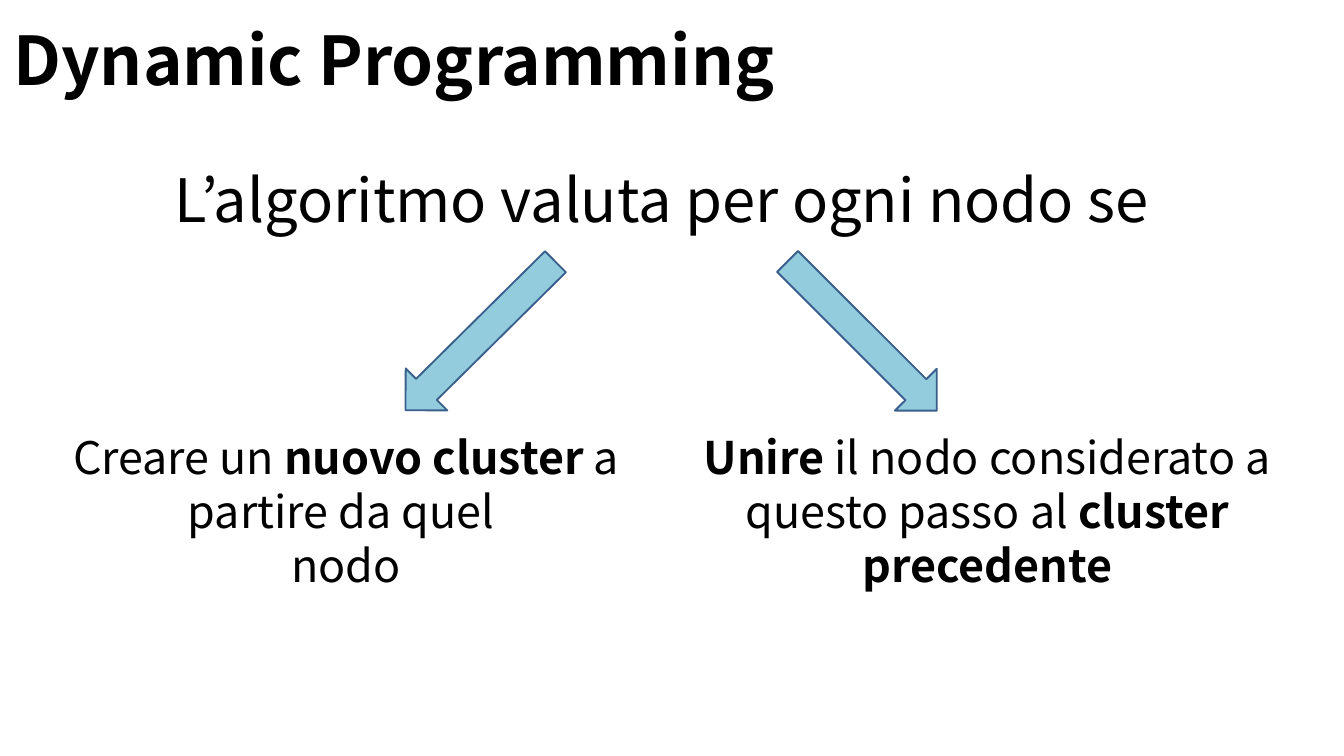
from dataclasses import dataclass

from lxml import etree
from pptx import Presentation
from pptx import util as u
from pptx.dml.color import RGBColor
from pptx.enum import shapes, text
from pptx.oxml.ns import qn


@dataclass(frozen=True)
class Theme:
    font: str = "Noto Sans CJK KR"
    ink: str = "000000"
    arrow_fill: str = "93CDDD"
    arrow_line: str = "3A5F8C"
    title: int = 36
    lead: int = 32
    option: int = 24


THEME = Theme()
LEFT, CENTER = text.PP_ALIGN.LEFT, text.PP_ALIGN.CENTER
TOP, MIDDLE = text.MSO_ANCHOR.TOP, text.MSO_ANCHOR.MIDDLE


def rgb(value):
    return RGBColor.from_string(value)


def place(sp, box):
    sp.left, sp.top, sp.width, sp.height = (u.Inches(v) for v in box)


def write(tf, paragraphs, size, align=CENTER, anchor=TOP):
    """Fill a frame; each paragraph is a list of (wording, bold) pairs."""
    tf.word_wrap = True
    tf.auto_size = text.MSO_AUTO_SIZE.NONE
    tf.vertical_anchor = anchor
    for i, runs in enumerate(paragraphs):
        p = tf.paragraphs[0] if i == 0 else tf.add_paragraph()
        p.alignment = align
        p.space_before = u.Pt(0)
        for wording, bold in runs:
            r = p.add_run()
            r.text = wording
            r.font.name = THEME.font
            r.font.size = u.Pt(size)
            r.font.bold = bold
            r.font.color.rgb = rgb(THEME.ink)


def add_title(s, box, wording):
    sp = s.shapes.title
    place(sp, box)
    write(sp.text_frame, [[(wording, True)]], THEME.title, align=LEFT, anchor=MIDDLE)


def add_lead(s, box, wording):
    sp = s.placeholders[1]
    place(sp, box)
    write(sp.text_frame, [[(wording, False)]], THEME.lead)
    pPr = sp.text_frame.paragraphs[0]._p.get_or_add_pPr()
    pPr.set("marL", "0")
    pPr.set("indent", "0")
    etree.SubElement(pPr, qn("a:buNone"))


def add_arrow(s, box, rotation):
    sp = s.shapes.add_shape(shapes.MSO_SHAPE.LEFT_ARROW, *(u.Inches(v) for v in box))
    sp.rotation = rotation
    sp.shadow.inherit = False
    sp.fill.solid()
    sp.fill.fore_color.rgb = rgb(THEME.arrow_fill)
    sp.line.color.rgb = rgb(THEME.arrow_line)
    sp.line.width = u.Pt(1)


def add_option(s, box, paragraphs, arrow_dx, rotation):
    """Place an option text with the slanted arrow that leads down to it."""
    x, y, _, _ = box
    add_arrow(s, (x + arrow_dx, y - 0.87, 1.57, 0.44), rotation)
    sp = s.shapes.add_textbox(*(u.Inches(v) for v in box))
    write(sp.text_frame, paragraphs, THEME.option)


def main():
    prs = Presentation()
    prs.slide_width = u.Inches(10)
    prs.slide_height = prs.slide_width * 9 // 16
    s = prs.slides.add_slide(prs.slide_layouts[1])

    add_title(s, (0, 0.03, 10, 0.81), "Dynamic Programming")
    add_lead(s, (0.2, 1.16, 9.45, 4.12), "L’algoritmo valuta per ogni nodo se")
    add_option(
        s, (0.31, 3.15, 4.53, 1.31),
        [[("Creare un ", False), ("nuovo cluster ", True), ("a partire da quel ", False)],
         [("nodo", False)]],
        arrow_dx=2.48, rotation=315.3)
    add_option(
        s, (5, 3.15, 4.69, 1.31),
        [[("Unire", True), (" il nodo considerato a questo passo al ", False),
          ("cluster precedente", True)]],
        arrow_dx=0.63, rotation=225)
    prs.save("out.pptx")


if __name__ == "__main__":
    main()
